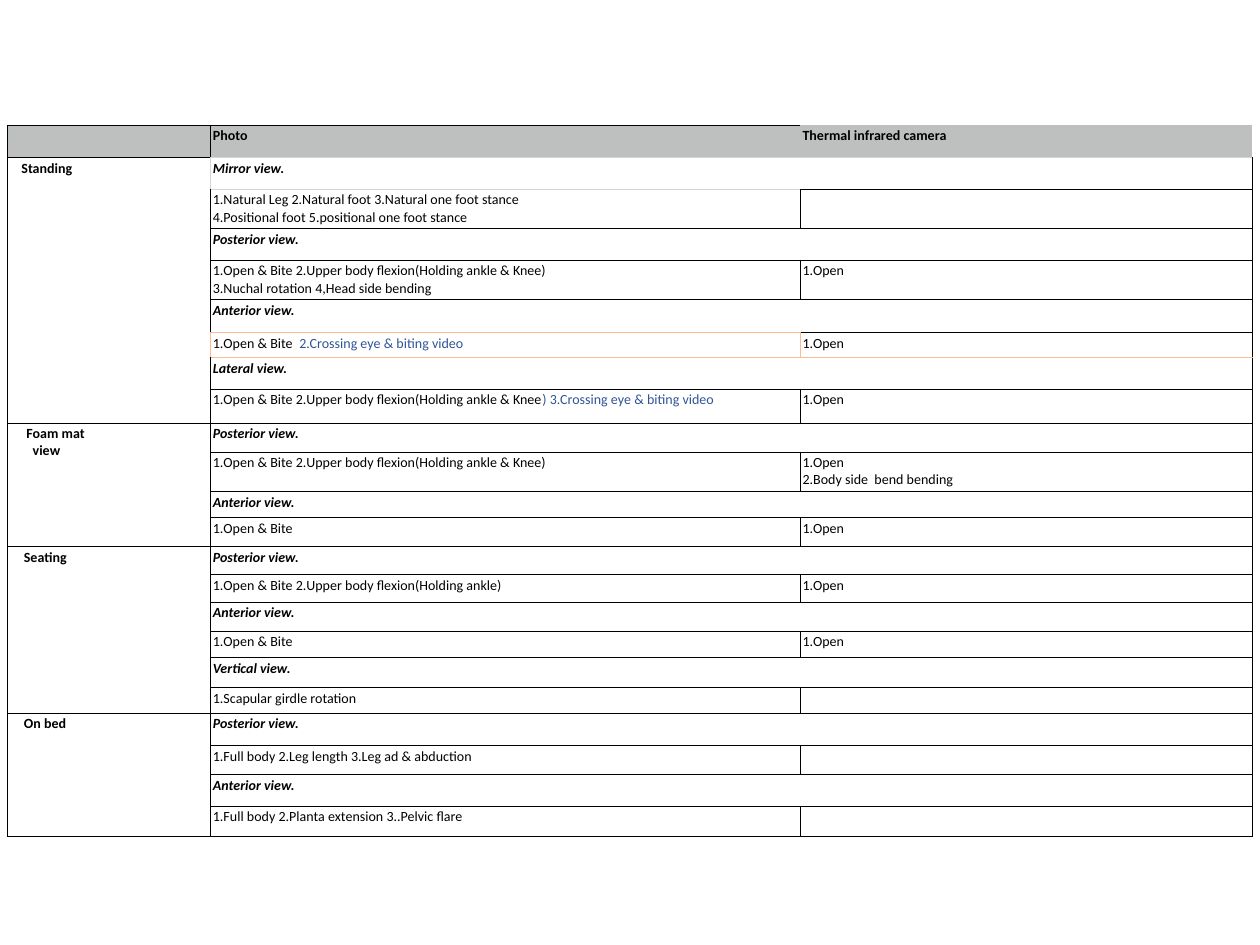
from lxml import etree
from pptx import Presentation
from pptx import util as u
from pptx.dml.color import RGBColor
from pptx.oxml.ns import qn

BLACK, BLUE, GRAY, WHITE = "000000", "2F5597", "BEC0BF", "FFFFFF"
PALE, ORANGE = "D5D5D5", "FEBB92"
SIDES = {"left": "a:lnL", "right": "a:lnR", "top": "a:lnT", "bottom": "a:lnB"}
NO_STYLE = "{2D5ABB26-0587-4C30-8999-92F81FD0307C}"

HEADERS = ["", "Photo", "Thermal infrared camera"]
SECTIONS = [
    ([("Standing", 0.09)], [
        ("Mirror view.", [("1.Natural Leg 2.Natural foot 3.Natural one foot stance\n"
                           "4.Positional foot 5.positional one foot stance", BLACK)], ""),
        ("Posterior view.", [("1.Open & Bite 2.Upper body flexion(Holding ankle & Knee)\n"
                              "3.Nuchal rotation 4,Head side bending", BLACK)], "1.Open"),
        ("Anterior view.", [("1.Open & Bite  ", BLACK),
                            ("2.Crossing eye & biting video", BLUE)], "1.Open"),
        ("Lateral view.", [("1.Open & Bite 2.Upper body flexion(Holding ankle & Knee", BLACK),
                           (") 3.Crossing eye & biting video", BLUE)], "1.Open")]),
    ([("Foam mat", 0.13), ("view", 0.18)], [
        ("Posterior view.", [("1.Open & Bite 2.Upper body flexion(Holding ankle & Knee)", BLACK)],
         "1.Open\n2.Body side  bend bending"),
        ("Anterior view.", [("1.Open & Bite", BLACK)], "1.Open")]),
    ([("Seating", 0.11)], [
        ("Posterior view.", [("1.Open & Bite 2.Upper body flexion(Holding ankle)", BLACK)], "1.Open"),
        ("Anterior view.", [("1.Open & Bite", BLACK)], "1.Open"),
        ("Vertical view.", [("1.Scapular girdle rotation", BLACK)], "")]),
    ([("On bed", 0.11)], [
        ("Posterior view.", [("1.Full body 2.Leg length 3.Leg ad & abduction", BLACK)], ""),
        ("Anterior view.", [("1.Full body 2.Planta extension 3..Pelvic flare", BLACK)], "")]),
]
COLUMNS = [1.61, 4.68, 3.59]
ROWS = [0.26, 0.25, 0.31, 0.25, 0.31, 0.26, 0.2, 0.25, 0.27, 0.23, 0.31, 0.21,
        0.23, 0.22, 0.22, 0.23, 0.21, 0.24, 0.2, 0.26, 0.23, 0.25, 0.24]
BORDERS = {
    (0, 1): {"right": None, "bottom": PALE},
    (0, 2): dict.fromkeys(SIDES),
    (1, 0): {"right": PALE},
    (1, 1): {"left": PALE, "top": PALE, "bottom": PALE},
    (1, 2): {"top": PALE},
    (2, 1): {"top": PALE},
    (5, 1): {"bottom": ORANGE},
    (6, 1): dict.fromkeys(SIDES, ORANGE),
    (6, 2): {"left": ORANGE},
    (7, 1): {"top": ORANGE},
}


def color(value):
    return RGBColor.from_string(value)


def style_cell(cell, fill, borders):
    cell.margin_left = cell.margin_right = u.Inches(0.02)
    cell.margin_top = cell.margin_bottom = u.Inches(0.02)
    properties = cell._tc.get_or_add_tcPr()
    for side, tag in SIDES.items():
        value = borders.get(side, BLACK)
        line = etree.SubElement(properties, qn(tag), w=str(u.Pt(0.25)))
        if value:
            solid = etree.SubElement(line, qn("a:solidFill"))
            etree.SubElement(solid, qn("a:srgbClr"), val=value)
        else:
            etree.SubElement(line, qn("a:noFill"))
    cell.fill.solid()
    cell.fill.fore_color.rgb = color(fill)
    end = etree.SubElement(cell.text_frame.paragraphs[0]._p, qn("a:endParaRPr"))
    end.set("sz", "800")


def add_runs(paragraph, runs, bold=False, italic=False):
    for content, tint in runs:
        for number, line in enumerate(content.split("\n")):
            if number:
                paragraph.add_line_break()
            run = paragraph.add_run()
            run.text = line
            run.font.name, run.font.size = "Calibri", u.Pt(8)
            run.font.bold, run.font.italic = bold, italic
            run.font.color.rgb = color(tint)


def write(cell, content, **style):
    if content:
        add_runs(cell.text_frame.paragraphs[0], [(content, BLACK)], **style)


def write_label(cell, lines):
    for number, (content, indent) in enumerate(lines):
        frame = cell.text_frame
        paragraph = frame.add_paragraph() if number else frame.paragraphs[0]
        paragraph._p.get_or_add_pPr().set("marL", str(u.Inches(indent)))
        add_runs(paragraph, [(content, BLACK)], bold=True)


def main():
    presentation = Presentation()
    presentation.slide_width, presentation.slide_height = u.Inches(10), u.Inches(7.5)
    slide = presentation.slides.add_slide(presentation.slide_layouts[6])
    table = slide.shapes.add_table(
        len(ROWS), len(COLUMNS), u.Inches(0.06), u.Inches(0.99),
        u.Inches(sum(COLUMNS)), u.Inches(sum(ROWS))).table
    table.first_row = table.horz_banding = False
    table._tbl.tblPr.find(qn("a:tableStyleId")).text = NO_STYLE
    for column, width in zip(table.columns, COLUMNS):
        column.width = u.Inches(width)
    for row, height in zip(table.rows, ROWS):
        row.height = u.Inches(height)
    for row in range(len(ROWS)):
        for column in range(len(COLUMNS)):
            style_cell(table.cell(row, column), WHITE if row else GRAY,
                       BORDERS.get((row, column), {}))

    for column, header in enumerate(HEADERS):
        write(table.cell(0, column), header, bold=True)
    row = 1
    for label, views in SECTIONS:
        label_cell = table.cell(row, 0)
        label_cell.merge(table.cell(row + 2 * len(views) - 1, 0))
        write_label(label_cell, label)
        for view, photo, thermal in views:
            view_cell = table.cell(row, 1)
            view_cell.merge(table.cell(row, 2))
            write(view_cell, view, bold=True, italic=True)
            add_runs(table.cell(row + 1, 1).text_frame.paragraphs[0], photo)
            write(table.cell(row + 1, 2), thermal)
            row += 2
    presentation.save("out.pptx")


if __name__ == "__main__":
    main()
